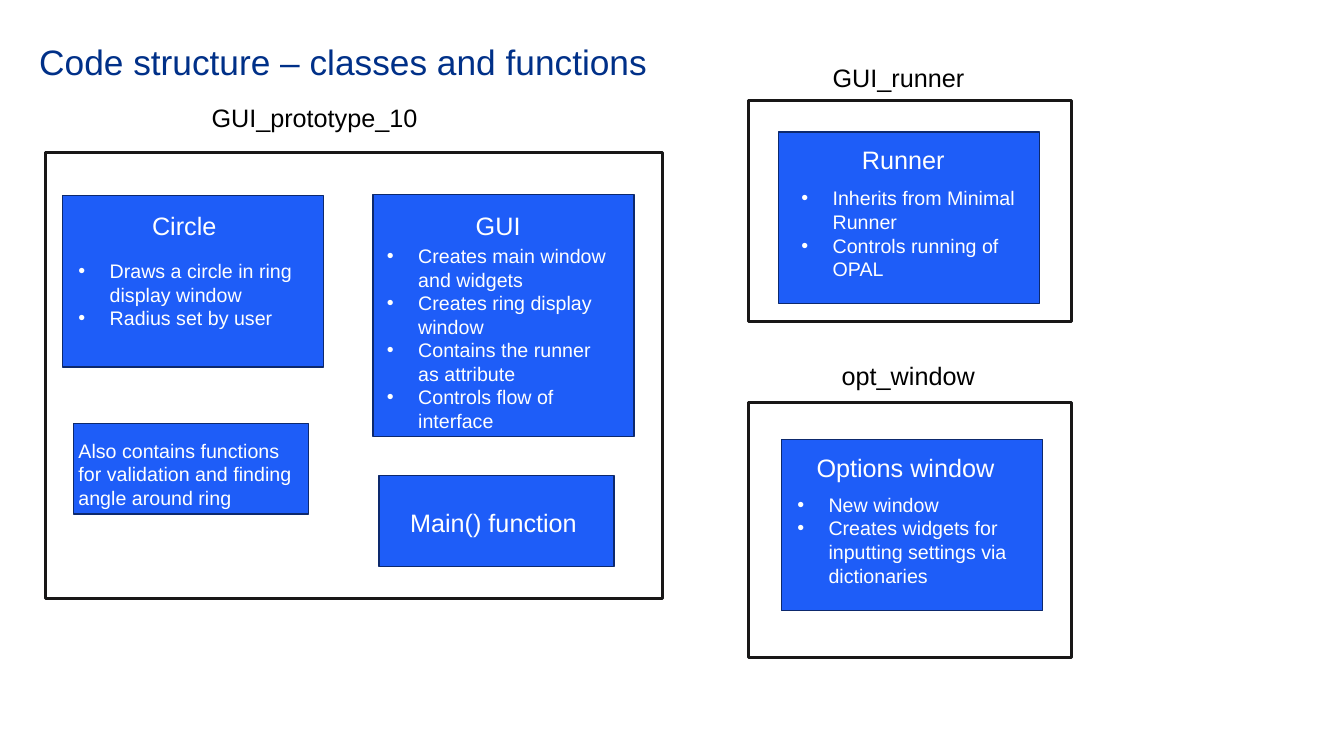
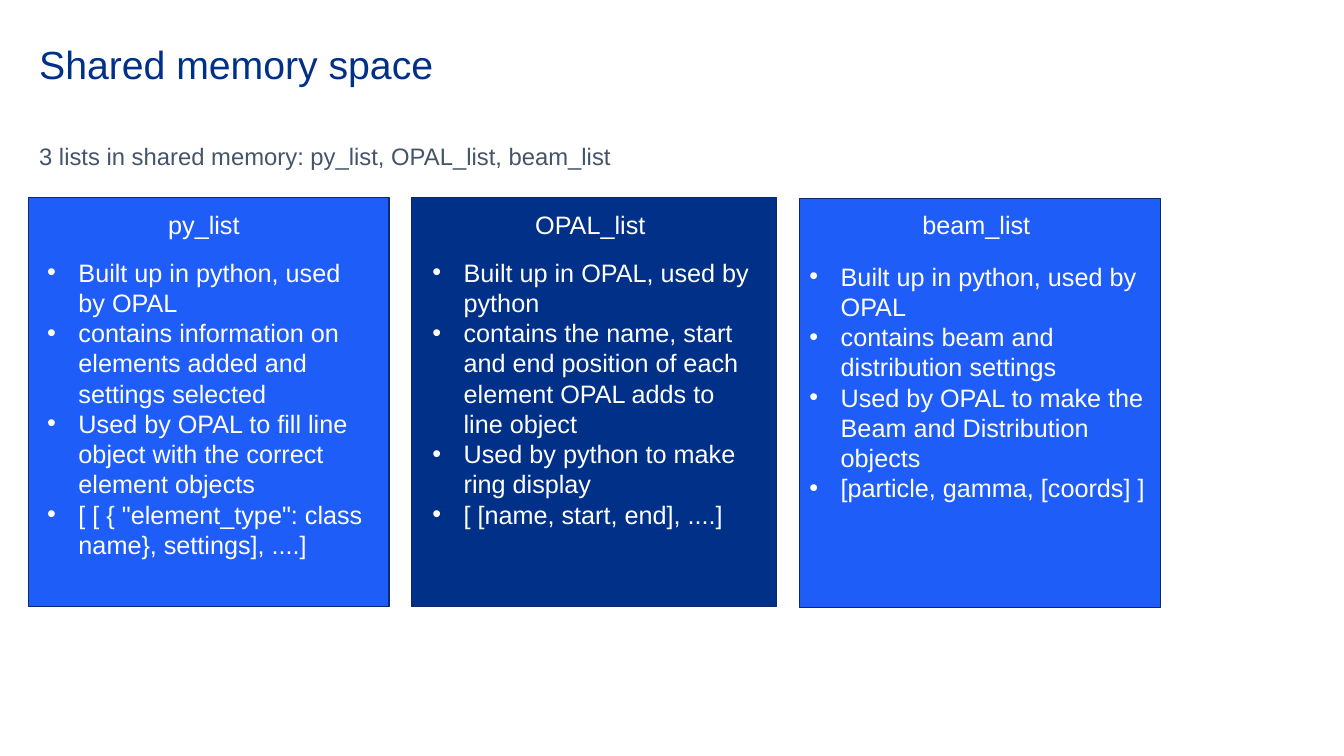
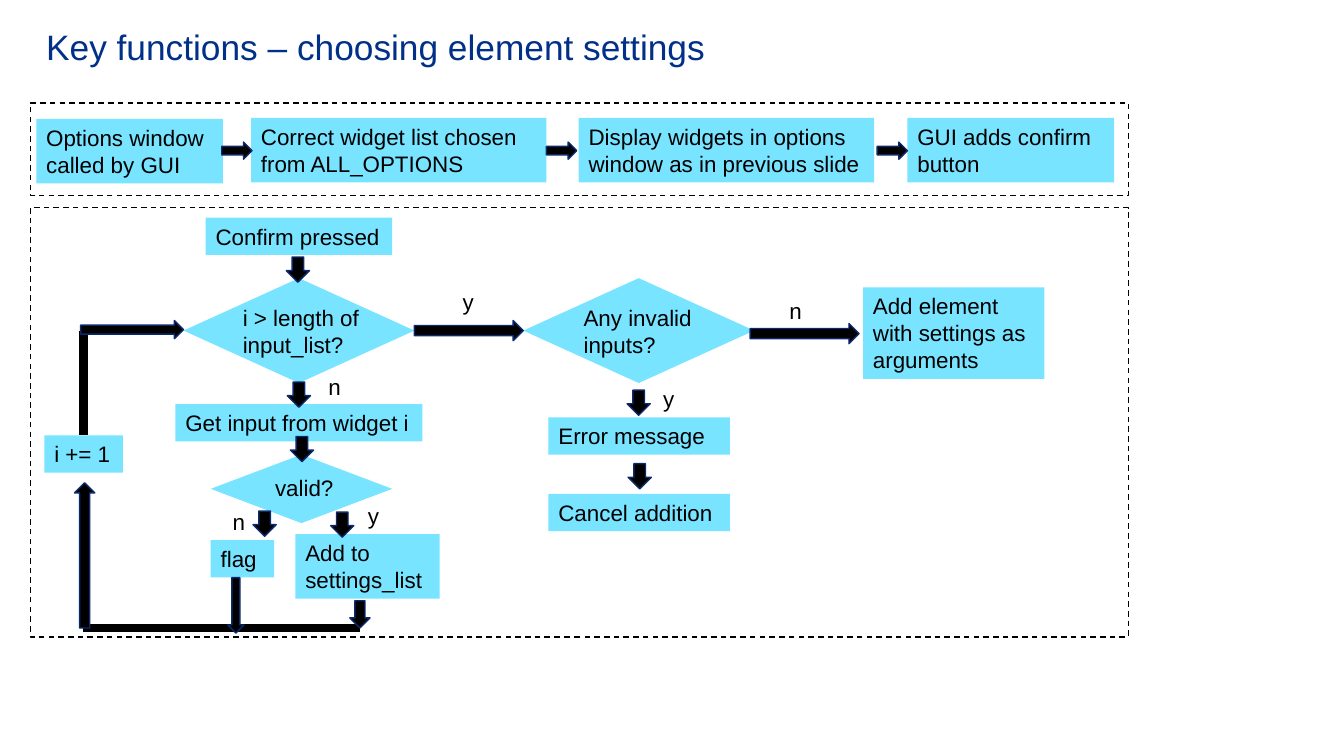
from lxml.etree import SubElement
from pptx import Presentation
from pptx.dml.color import RGBColor
from pptx.enum.dml import MSO_LINE
from pptx.enum.shapes import MSO_CONNECTOR, MSO_SHAPE
from pptx.enum.text import MSO_ANCHOR, PP_ALIGN
from pptx.oxml.ns import qn
from pptx.util import Inches, Pt

# Shared style
FONT = "Arial"
NAVY, BLUE, CYAN = "003088", "1E5DF8", "78E4FF"
OUTLINE, FRAME, SLATE = "0D296D", "181717", "44546A"
BLACK, WHITE = "000000", "FFFFFF"
BULLET_INDENT = 0.31

# Slide 1: modules as (label, label box, frame)
MODULES = [
    ("GUI_prototype_10", (2, 0.97, 3.13, 0.41), (0.45, 1.51, 6.12, 4.43)),
    ("GUI_runner", (8.16, 0.57, 1.59, 0.4), (7.42, 1, 3.21, 2.19)),
    ("opt_window", (8.25, 3.53, 1.7, 0.4), (7.42, 3.99, 3.21, 2.53)),
]
# Cards as dicts: box, heading with its place, bullets with their place
CLASS_CARDS = [
    dict(box=(3.7, 1.93, 2.59, 2.4), heading="GUI", heading_at=(4.62, 2.04, 0.75, 0.4),
         bullets=["Creates main window and widgets", "Creates ring display window",
                  "Contains the runner as attribute", "Controls flow of interface"],
         bullets_at=(3.74, 2.37, 2.47, 1.99)),
    dict(box=(7.72, 1.31, 2.59, 1.7), heading="Runner", heading_at=(8.45, 1.38, 1.14, 0.4),
         bullets=["Inherits from Minimal Runner", "Controls running of OPAL"],
         bullets_at=(7.85, 1.8, 2.47, 1.04)),
    dict(box=(0.62, 1.94, 2.59, 1.7), heading="Circle", heading_at=(1.41, 2.04, 1.14, 0.4),
         bullets=["Draws a circle in ring display window", "Radius set by user"],
         bullets_at=(0.68, 2.52, 2.47, 0.81)),
    dict(box=(7.75, 4.36, 2.59, 1.7), heading="Options window", heading_at=(8, 4.44, 2.08, 0.4),
         bullets=["New window", "Creates widgets for inputting settings via dictionaries"],
         bullets_at=(7.81, 4.84, 2.47, 1.28)),
    dict(box=(3.76, 4.72, 2.33, 0.9), heading="Main() function",
         heading_at=(3.97, 4.98, 1.9, 0.4)),
]
HELPERS_BOX = (0.73, 4.2, 2.33, 0.9)
HELPERS_TEXT = "Also contains functions for validation and finding angle around ring"
HELPERS_TEXT_AT = (0.68, 4.3, 2.47, 0.81)

# Slide 2
LISTS_INTRO = "3 lists in shared memory: py_list, OPAL_list, beam_list"
LIST_CARDS = [
    dict(box=(0.28, 1.96, 3.58, 4.06), heading="py_list", heading_at=(1.57, 2.03, 1.14, 0.4),
         bullets=["Built up in python, used by OPAL",
                  "contains information on elements added and settings selected",
                  "Used by OPAL to fill line object with the correct element objects",
                  '[ [ { "element_type": class name}, settings], ....]'],
         bullets_at=(0.37, 2.5, 3.41, 3.13)),
    dict(box=(4.08, 1.96, 3.62, 4.06), fill=NAVY, heading="OPAL_list",
         heading_at=(5.21, 2.03, 1.35, 0.4),
         bullets=["Built up in OPAL, used by python",
                  "contains the name, start and end position of each element OPAL adds "
                  "to line object",
                  "Used by python to make ring display",
                  "[ [name, start, end], ....]"],
         bullets_at=(4.19, 2.5, 3.41, 2.83)),
    dict(box=(7.93, 1.97, 3.58, 4.06), heading="beam_list", heading_at=(9.05, 2.03, 1.35, 0.4),
         bullets=["Built up in python, used by OPAL",
                  "contains beam and distribution settings",
                  "Used by OPAL to make the Beam and Distribution objects",
                  "[particle, gamma, [coords] ]"],
         bullets_at=(7.93, 2.54, 3.62, 2.52)),
]

# Slide 3
ONE_LINE, TWO_LINES, THREE_LINES = 0.37, 0.64, 0.91
STEPS = [
    ("Options window called by GUI", (0.36, 1.18, 1.85, TWO_LINES)),
    ("Correct widget list chosen from ALL_OPTIONS", (2.49, 1.17, 2.93, TWO_LINES)),
    ("Display widgets in options window as in previous slide", (5.74, 1.17, 2.93, TWO_LINES)),
    ("GUI adds confirm button", (9, 1.17, 2.05, TWO_LINES)),
    ("Confirm pressed", (2.04, 2.16, 1.85, ONE_LINE)),
    ("Get input from widget i", (1.74, 4.01, 2.45, ONE_LINE)),
    ("Error message", (5.44, 4.14, 1.8, ONE_LINE)),
    ("Cancel addition", (5.44, 4.9, 1.8, ONE_LINE)),
    ("i += 1", (0.44, 4.32, 0.78, ONE_LINE)),
    ("Add element with settings as arguments", (8.56, 2.85, 1.8, THREE_LINES)),
    ("flag", (2.09, 5.36, 0.63, ONE_LINE)),
    ("Add to settings_list", (2.93, 5.3, 1.43, TWO_LINES)),
]
DECISIONS = [  # text, diamond, text box
    ("i > length of input_list?", (1.82, 2.76, 2.29, 1.04), (2.31, 2.97, 1.4, 0.94)),
    ("Any invalid inputs?", (5.19, 2.76, 2.29, 1.04), (5.69, 2.97, 1.8, 0.94)),
    ("valid?", (2.09, 4.51, 1.8, 0.68), (2.63, 4.65, 0.84, 0.67)),
]
SHORT_ARROW = (0.23, 0.25)
SHORT_ARROWS_AT = [(2.84, 2.55), (2.85, 3.79), (2.88, 4.33), (2.51, 5.07), (3.28, 5.08),
                   (6.22, 3.87), (6.23, 4.6)]
STEP_ARROW = (0.3, 0.17)
STEP_ARROWS_AT = [(2.2, 1.41), (5.42, 1.41), (8.7, 1.41)]
ARROWS = (
    [(MSO_SHAPE.DOWN_ARROW, at + SHORT_ARROW) for at in SHORT_ARROWS_AT]
    + [(MSO_SHAPE.RIGHT_ARROW, at + STEP_ARROW) for at in STEP_ARROWS_AT]
    + [
        (MSO_SHAPE.DOWN_ARROW, (2.26, 5.73, 0.16, 0.55)),
        (MSO_SHAPE.DOWN_ARROW, (3.47, 5.96, 0.2, 0.27)),
        (MSO_SHAPE.UP_ARROW, (0.74, 4.79, 0.2, 1.44)),
        (MSO_SHAPE.RIGHT_ARROW, (0.8, 3.18, 1.02, 0.18)),
        (MSO_SHAPE.RIGHT_ARROW, (4.11, 3.18, 1.08, 0.2)),
        (MSO_SHAPE.RIGHT_ARROW, (7.44, 3.21, 1.08, 0.2)),
    ]
)
BRANCH_LABELS = [("y", 4.49, 2.81), ("n", 3.16, 3.65), ("y", 3.55, 4.93),
                 ("n", 2.21, 4.99), ("n", 7.73, 2.9), ("y", 6.48, 3.77)]
LABEL_WIDTHS = {"y": 0.3, "n": 0.34}
GROUP_FRAMES = [(0.3, 1.02, 10.89, 0.92), (0.3, 2.06, 10.89, 4.26)]


def rgb(color):
    return RGBColor.from_string(color)


def inches(lengths):
    return [Inches(length) for length in lengths]


def write(shape, paragraphs, size, color, bullet=False, **paragraph_format):
    """Fill a shape with left-aligned text from its top."""
    frame = shape.text_frame
    frame.word_wrap = True
    frame.vertical_anchor = MSO_ANCHOR.TOP
    for number, text in enumerate(paragraphs):
        paragraph = frame.paragraphs[0] if number == 0 else frame.add_paragraph()
        paragraph.alignment = PP_ALIGN.LEFT
        for name, value in paragraph_format.items():
            setattr(paragraph, name, value)
        run = paragraph.add_run()
        run.text = text
        for name, value in dict(name=FONT, size=Pt(size)).items():
            setattr(run.font, name, value)
        run.font.color.rgb = rgb(color)
        if bullet:
            properties = paragraph._p.get_or_add_pPr()
            properties.set("marL", str(Inches(BULLET_INDENT)))
            properties.set("indent", str(-Inches(BULLET_INDENT)))
            SubElement(properties, qn("a:buFont"), typeface=FONT)
            SubElement(properties, qn("a:buChar"), char="•")


def add_text(slide, at, paragraphs, size, color, **options):
    write(slide.shapes.add_textbox(*inches(at)), paragraphs, size, color, **options)


def add_box(slide, at, fill=None, line=None, width=1, kind=MSO_SHAPE.RECTANGLE, dash=None):
    shape = slide.shapes.add_shape(kind, *inches(at))
    shape.shadow.inherit = False
    if fill:
        shape.fill.solid()
        shape.fill.fore_color.rgb = rgb(fill)
    else:
        shape.fill.background()
    if line:
        shape.line.color.rgb = rgb(line)
        shape.line.width = Pt(width)
        if dash:
            shape.line.dash_style = dash
    else:
        shape.line.fill.background()
    return shape


def add_line(slide, start, end, width):
    connector = slide.shapes.add_connector(MSO_CONNECTOR.STRAIGHT, *inches(start + end))
    connector.line.color.rgb = rgb(BLACK)
    connector.line.width = Pt(width)
    SubElement(connector._element.spPr, qn("a:effectLst"))
    return connector


def add_card(slide, bullet_size, box, heading, heading_at, bullets=(), bullets_at=None, fill=BLUE):
    add_box(slide, box, fill, OUTLINE)
    add_text(slide, heading_at, [heading], 18, WHITE)
    if bullets:
        add_text(slide, bullets_at, bullets, bullet_size, WHITE, bullet=True)


def add_titled_slide(presentation, title, size, at=(0.29, 0.4, 6.38, 0.63)):
    slide = presentation.slides.add_slide(presentation.slide_layouts[6])
    add_text(slide, at, [title], size, NAVY, line_spacing=0.9)
    return slide


def build_code_structure(presentation):
    slide = add_titled_slide(presentation, "Code structure – classes and functions", 25.2)
    for label, label_at, frame in MODULES:
        add_box(slide, frame, line=FRAME, width=2.25)
        add_text(slide, label_at, [label], 18, BLACK)
    for card in CLASS_CARDS:
        add_card(slide, 14, **card)
    add_box(slide, HELPERS_BOX, BLUE, OUTLINE)
    add_text(slide, HELPERS_TEXT_AT, [HELPERS_TEXT], 14, WHITE)


def build_shared_memory(presentation):
    slide = add_titled_slide(presentation, "Shared memory space", 28)
    add_text(slide, (0.29, 1.43, 10.94, 0.31), [LISTS_INTRO], 17, SLATE,
             line_spacing=0.7, space_before=Pt(10))
    for card in LIST_CARDS:
        add_card(slide, 18, **card)


def build_element_settings(presentation):
    slide = add_titled_slide(presentation, "Key functions – choosing element settings", 25.2,
                             (0.36, 0.25, 7.19, 0.63))
    # Steps and decisions
    steps = {}
    for text, at in STEPS:
        steps[text] = add_box(slide, at, CYAN)
        write(steps[text], [text], 16, BLACK)
    for text, diamond, text_at in DECISIONS:
        add_box(slide, diamond, CYAN, kind=MSO_SHAPE.FLOWCHART_DECISION)
        add_text(slide, text_at, [text], 16, BLACK)
    # Loop back and arrows
    add_line(slide, (3.57, 6.23), (0.82, 6.23), 6)
    loop_line = add_line(slide, (0.83, 3.28), (0.83, 4.32), 6)
    loop_line.end_connect(steps["i += 1"], 0)
    for kind, at in ARROWS:
        add_box(slide, at, BLACK, OUTLINE, kind=kind)
    # Group frames and branch labels
    for frame in GROUP_FRAMES:
        add_box(slide, frame, line=BLACK, dash=MSO_LINE.DASH)
    for text, left, top in BRANCH_LABELS:
        add_text(slide, (left, top, LABEL_WIDTHS[text], ONE_LINE), [text], 16, BLACK)


def main():
    presentation = Presentation()
    presentation.slide_width, presentation.slide_height = inches((13.33, 7.5))
    build_code_structure(presentation)
    build_shared_memory(presentation)
    build_element_settings(presentation)
    presentation.save("out.pptx")


if __name__ == "__main__":
    main()
